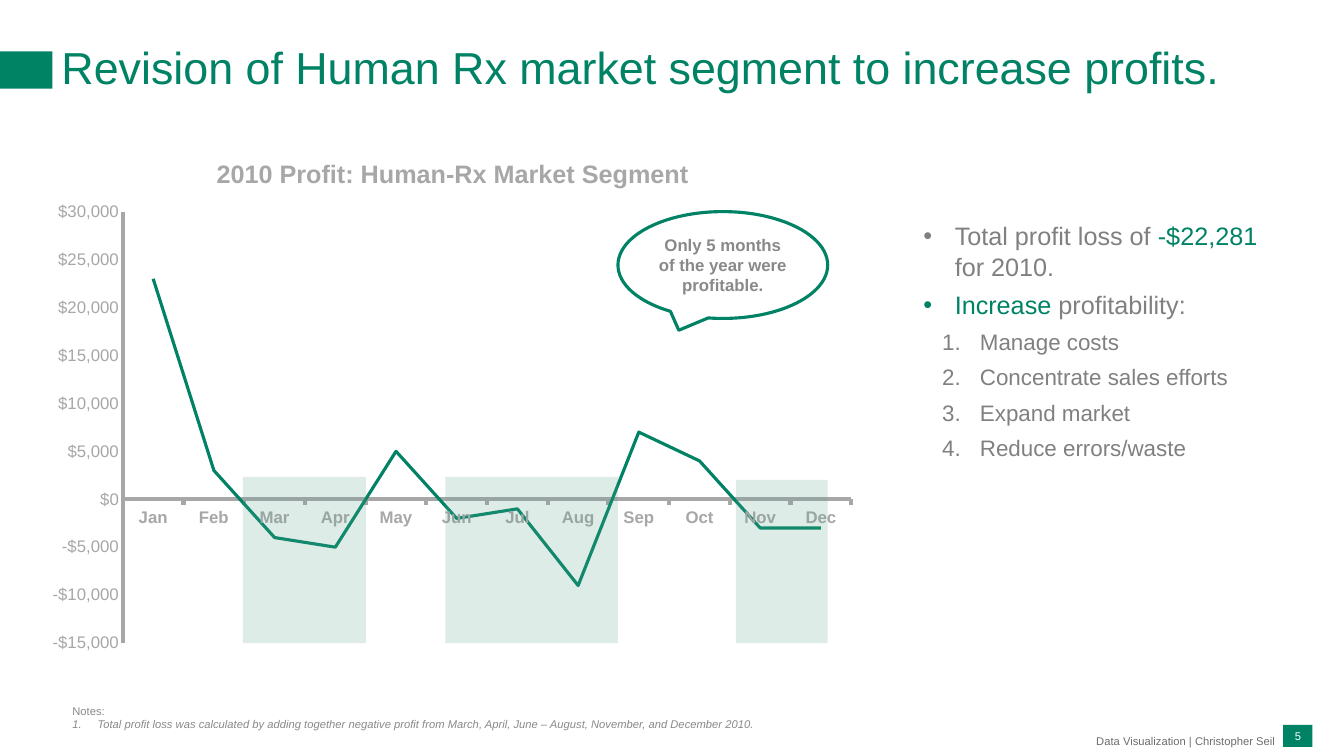
import pptx
import pptx.chart.data
import pptx.dml.color
import pptx.enum.chart
import pptx.enum.shapes
import pptx.enum.text
import pptx.oxml
import pptx.util
import lxml.etree

Pt = pptx.util.Pt
SHAPE = pptx.enum.shapes.MSO_SHAPE
ALIGN = pptx.enum.text.PP_ALIGN
ANCHOR = pptx.enum.text.MSO_ANCHOR
GREEN, BAND, AXIS, NOTE, BODY = "008265", "5DA08E", "A7A7A7", "898989", "808080"


def rgb(value):
    return pptx.dml.color.RGBColor.from_string(value)


def add_text(tf, runs, size, align=ALIGN.LEFT, bold=False, italic=False,
             after=0, spacing=1.0, left=0, hang=0, numbered=False):
    p = tf.add_paragraph() if tf.text else tf.paragraphs[0]
    p.alignment = align
    p.line_spacing = spacing
    p.space_before, p.space_after = Pt(0), Pt(after)
    for text, color in runs:
        r = p.add_run()
        r.text = text
        r.font.name, r.font.size = "Arial", Pt(size)
        r.font.bold, r.font.italic = bold, italic
        r.font.color.rgb = rgb(color)
    pPr = p._p.get_or_add_pPr()
    pPr.set("marL", str(Pt(left)))
    pPr.set("indent", str(Pt(-hang)))
    if numbered:
        bullet = lxml.etree.SubElement(pPr, pptx.oxml.ns.qn("a:buAutoNum"))
        bullet.set("type", "arabicPeriod")
    return p


prs = pptx.Presentation()
prs.slide_width, prs.slide_height = Pt(960), Pt(540)
s = prs.slides.add_slide(prs.slide_layouts[1])

title, body = s.shapes.title, s.placeholders[1]
title.left, title.top, title.width, title.height = Pt(43.9), Pt(15.1), Pt(916), Pt(69.1)
body.left, body.top, body.width, body.height = Pt(653), Pt(151.2), Pt(263.5), Pt(193)
for sp, inset in [(title, 0), (body, 6.5)]:
    tf = sp.text_frame
    tf.word_wrap = True
    tf.auto_size = pptx.enum.text.MSO_AUTO_SIZE.NONE
    tf.margin_left = tf.margin_right = tf.margin_top = tf.margin_bottom = Pt(inset)
title.text_frame.vertical_anchor = ANCHOR.MIDDLE
body.text_frame.vertical_anchor = ANCHOR.TOP
add_text(title.text_frame,
         [("Revision of Human Rx market segment to increase profits.", GREEN)],
         32, spacing=0.9)

points = [
    [("Total profit loss of ", BODY), ("-$22,281 ", GREEN), ("for 2010.", BODY)],
    [("Increase ", GREEN), ("profitability:", BODY)],
]
for runs in points:
    add_text(body.text_frame, runs, 18, after=6, left=22.5, hang=22.5)
for step in ["Manage costs", "Concentrate sales efforts", "Expand market", "Reduce errors/waste"]:
    p = add_text(body.text_frame, [(step, BODY)], 16, after=6,
                 left=40.5, hang=27, numbered=True)
    p.level = 1

data = pptx.chart.data.CategoryChartData(number_format='"$"#,##0')
data.categories = ["Jan", "Feb", "Mar", "Apr", "May", "Jun",
                   "Jul", "Aug", "Sep", "Oct", "Nov", "Dec"]
data.add_series("Series 1", [23000, 3000, -4000, -5000, 5000, -2000,
                             -1000, -9000, 7000, 4000, -3000, -3000])
chart = s.shapes.add_chart(pptx.enum.chart.XL_CHART_TYPE.LINE_STACKED,
                           Pt(25.9), Pt(97.9), Pt(594.7), Pt(375.8), data).chart
chart.has_legend = False
chart.font.name, chart.font.size = "Arial", Pt(10)
chart.has_title = True
add_text(chart.chart_title.text_frame, [("2010 Profit: Human-Rx Market Segment", AXIS)],
         18, align=ALIGN.CENTER, bold=True)
chart.chart_title.include_in_layout = False

plot = chart.plots[0]
plot.vary_by_categories = False
line = plot.series[0]
line.smooth = False
line.marker.style = pptx.enum.chart.XL_MARKER_STYLE.NONE
line.format.line.color.rgb = rgb(GREEN)
line.format.line.width = Pt(2.25)

TICK = pptx.enum.chart.XL_TICK_MARK
for axis, bold, tick in [(chart.category_axis, True, TICK.OUTSIDE),
                         (chart.value_axis, False, TICK.NONE)]:
    axis.has_major_gridlines = False
    axis.major_tick_mark, axis.minor_tick_mark = tick, TICK.NONE
    axis.format.line.color.rgb = rgb(AXIS)
    axis.format.line.width = Pt(3)
    font = axis.tick_labels.font
    font.name, font.size, font.bold = "Arial", Pt(12), bold
    font.color.rgb = rgb(AXIS)
axis.minimum_scale, axis.maximum_scale, axis.major_unit = -15000, 30000, 5000
axis.tick_labels.number_format = '"$"#,##0'
axis.tick_labels.number_format_is_linked = False

area = chart._chartSpace.chart.plotArea
for old in area.findall(pptx.oxml.ns.qn("c:layout")):
    area.remove(old)
layout = lxml.etree.Element(pptx.oxml.ns.qn("c:layout"))
manual = lxml.etree.SubElement(layout, pptx.oxml.ns.qn("c:manualLayout"))
for tag, value in [("layoutTarget", "inner"), ("xMode", "edge"), ("yMode", "edge"),
                   ("x", "0.104"), ("y", "0.142"), ("w", "0.875"), ("h", "0.82")]:
    lxml.etree.SubElement(manual, pptx.oxml.ns.qn("c:" + tag)).set("val", value)
area.insert(0, layout)

blocks = [
    (0, 36.7, 37.4, 26.6, GREEN, 100),
    (173.5, 340.6, 87.8, 118.8, BAND, 20),
    (318.2, 340.6, 123.1, 118.8, BAND, 20),
    (525.6, 342.7, 65.5, 116.7, BAND, 20),
    (916.6, 517.7, 20.9, 15.8, GREEN, 100),
]
for x, y, w, h, color, opacity in blocks:
    sp = s.shapes.add_shape(SHAPE.RECTANGLE, Pt(x), Pt(y), Pt(w), Pt(h))
    sp.shadow.inherit = False
    sp.line.fill.background()
    sp.fill.solid()
    sp.fill.fore_color.rgb = rgb(color)
    if opacity < 100:
        srgb = sp._element.spPr.find(".//" + pptx.oxml.ns.qn("a:srgbClr"))
        lxml.etree.SubElement(srgb, pptx.oxml.ns.qn("a:alpha")).set("val", str(opacity * 1000))

number = sp.text_frame
footer = s.shapes.add_textbox(Pt(607.7), Pt(522), Pt(303.3), Pt(15.1)).text_frame
for tf in [number, footer]:
    tf.word_wrap = True
    tf.margin_left = tf.margin_right = tf.margin_top = tf.margin_bottom = Pt(0)
    tf.vertical_anchor = ANCHOR.MIDDLE
add_text(number, [("5", "FFFFFF")], 8, align=ALIGN.CENTER)
add_text(footer, [("Data Visualization | Christopher Seil", "6D6D6D")], 8,
         align=ALIGN.RIGHT, spacing=0.95)

tf = s.shapes.add_textbox(Pt(44.6), Pt(499), Pt(571), Pt(26.6)).text_frame
tf.word_wrap = True
tf.vertical_anchor = ANCHOR.BOTTOM
add_text(tf, [("Notes:", NOTE)], 8)
add_text(tf, [("Total profit loss was calculated by adding together negative profit from "
               "March, April, June – August, November, and December 2010.", NOTE)],
         8, italic=True, left=18, hang=18, numbered=True)

sp = s.shapes.add_shape(SHAPE.OVAL_CALLOUT, Pt(441.4), Pt(151.2), Pt(149.8), Pt(76.3))
sp.adjustments[0], sp.adjustments[1] = -0.21, 0.61
sp.shadow.inherit = False
sp.fill.background()
sp.line.color.rgb = rgb(GREEN)
sp.line.width = Pt(2.25)
tf = sp.text_frame
tf.word_wrap = True
tf.vertical_anchor = ANCHOR.MIDDLE
add_text(tf, [("Only 5 months of the year were profitable.", NOTE)], 12,
         align=ALIGN.CENTER, bold=True)

prs.save("out.pptx")
